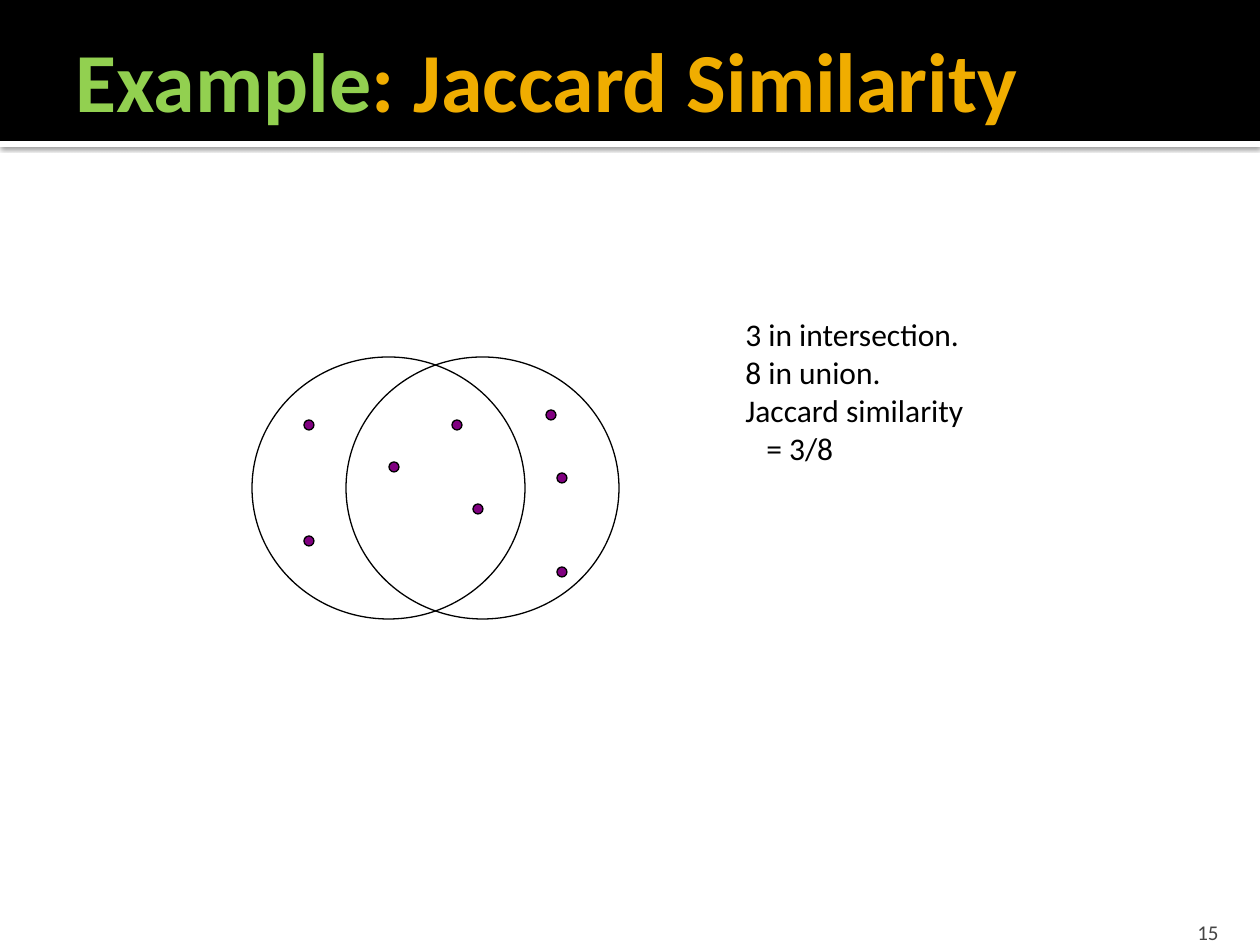
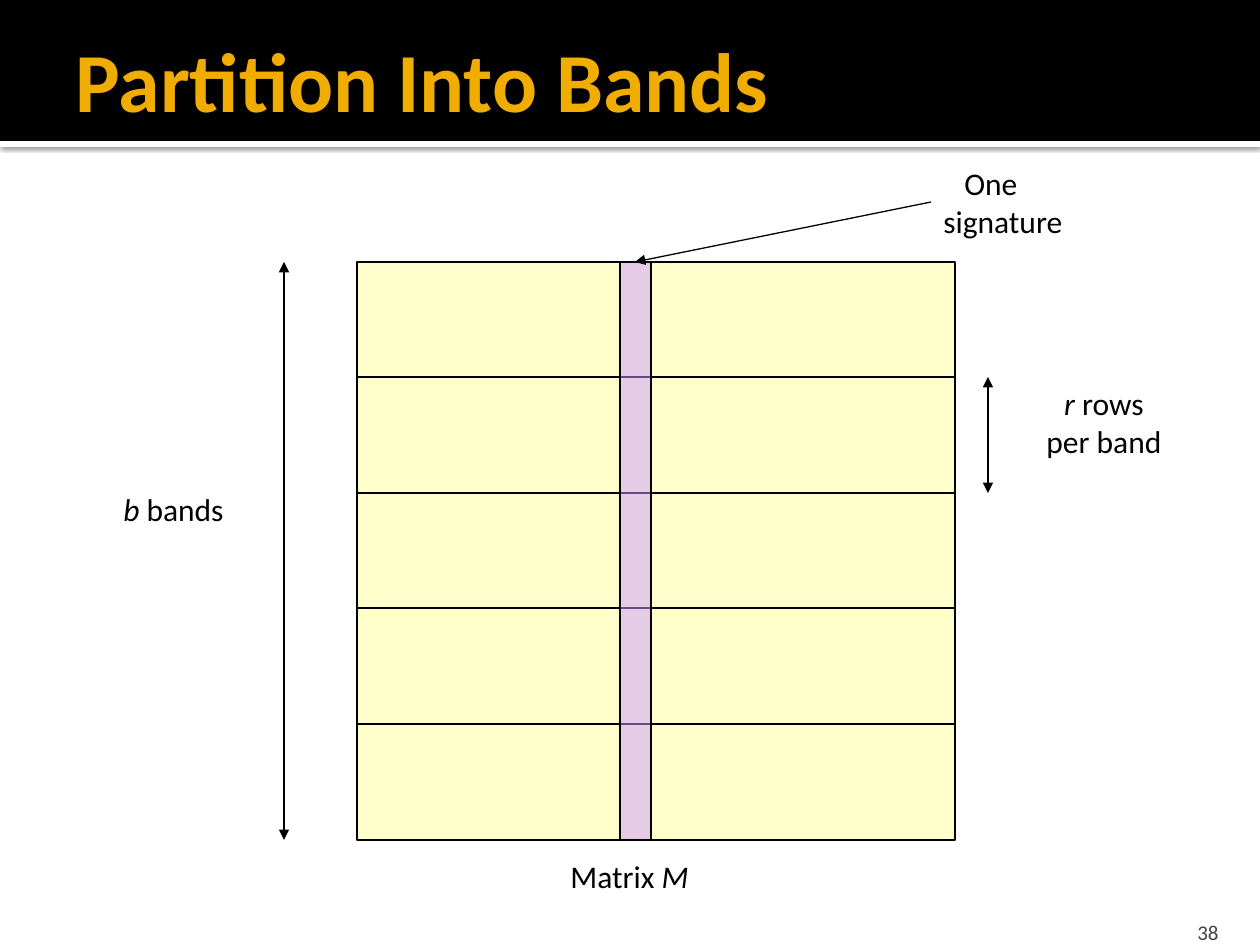
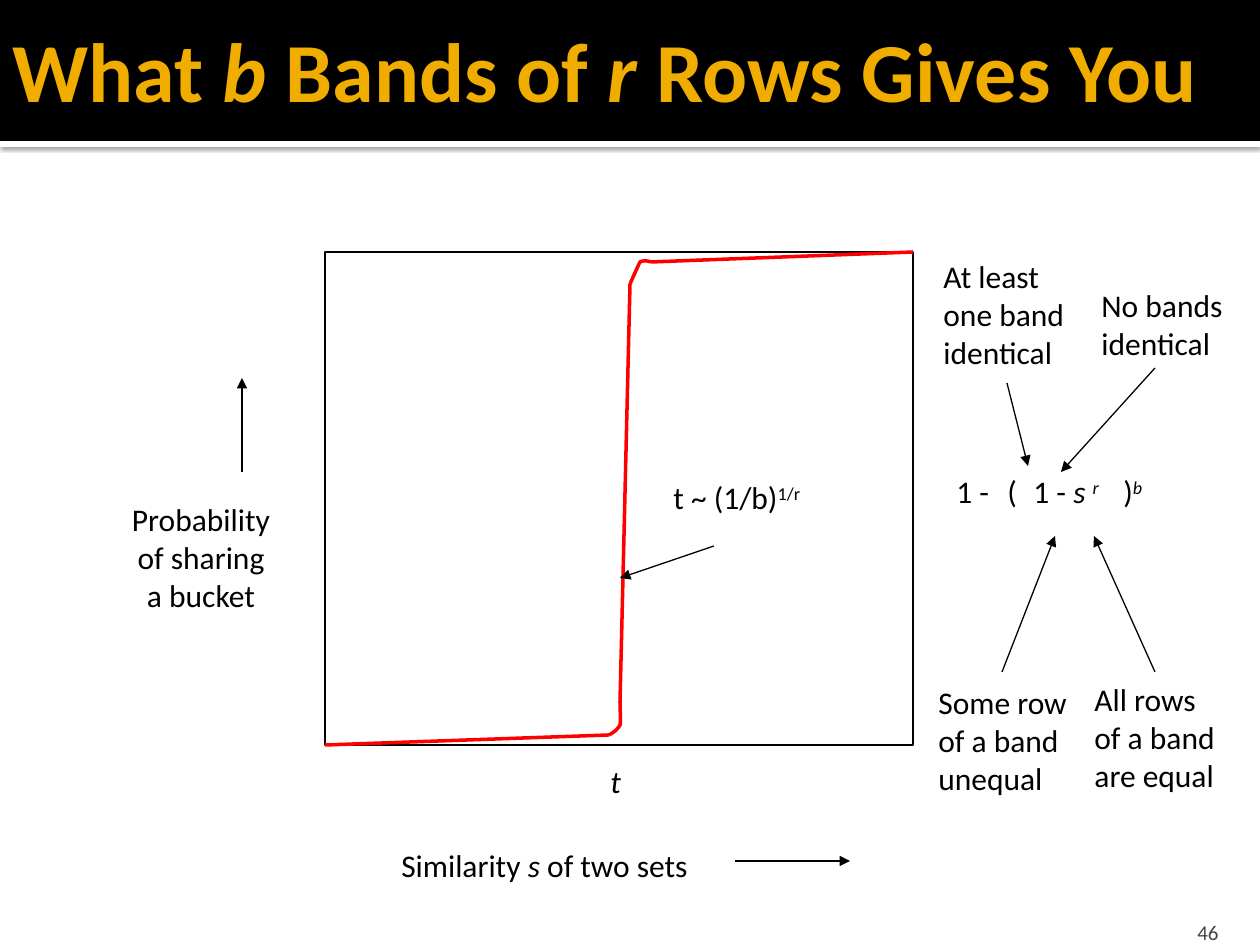
from dataclasses import dataclass

from lxml.etree import SubElement
from pptx import Presentation
from pptx.dml.color import RGBColor
from pptx.enum.shapes import MSO_CONNECTOR as Connector, MSO_SHAPE as Preset
from pptx.enum.text import MSO_ANCHOR as Anchor, MSO_AUTO_SIZE as AutoSize, PP_ALIGN as Align
from pptx.oxml.ns import qn
from pptx.util import Emu, Pt

EMU_PER_PX = 914400 / 126
FONT = "Calibri"
COLORS = {
    "black": "000000", "white": "FFFFFF", "title": "F0AD00", "example": "92D050",
    "number": "454545", "dot": "800080", "matrix": "FFFF99", "signature": "CC99FF",
    "curve": "FF0000",
}
Point = tuple[int, int]


@dataclass(frozen=True)
class Box:
    """Position and size in px."""
    left: int
    top: int
    width: int
    height: int

    def emu(self) -> list[Emu]:
        """Return left, top, width and height in EMU."""
        return [px(n) for n in (self.left, self.top, self.width, self.height)]


@dataclass(frozen=True)
class Span:
    """Piece of text with its own emphasis."""
    text: str
    italic: bool = False
    raised: bool = False
    color: str = ""


@dataclass(frozen=True)
class Line:
    """Paragraph of spans with a left indent in px."""
    spans: tuple[Span, ...]
    indent: int = 0


@dataclass(frozen=True)
class Label:
    """Free text on a slide."""
    box: Box
    lines: tuple[Line, ...]
    align: Align = Align.LEFT


@dataclass(frozen=True)
class Arrow:
    """Straight line with optional arrowheads."""
    start: Point
    end: Point
    head: bool = False
    tail: bool = True
    color: str = "black"
    width: float = 0.75


TITLE_BOX = Box(63, 21, 1197, 116)
WIDE_TITLE_BOX = Box(0, -10, 1260, 157)
HEADER = Box(0, 0, 1260, 141)
HEADER_EDGE = Box(0, 141, 1260, 6)
NUMBER_BOX = Box(1130, 907, 101, 38)

DOT_SIZE = 10
DOT_CENTERS = [(309, 425), (309, 541), (394, 467), (478, 509),
               (457, 425), (562, 478), (562, 572), (551, 415)]
SETS = [Box(346, 357, 273, 262), Box(252, 357, 273, 262)]

MATRIX = Box(357, 262, 598, 578)
SIGNATURE = Box(620, 262, 31, 578)
BAND_COUNT = 5

PLOT = Box(325, 252, 588, 493)
LOWER_BEND = [(609, 735), (614, 732), (617, 730), (620, 725), (621, 719), (620, 712), (620, 703)]
UPPER_BEND = [(630, 284), (634, 275), (638, 266), (640, 262), (644, 260), (648, 261), (651, 262)]


def px(length: float) -> Emu:
    """Turn px into EMU."""
    return Emu(round(length * EMU_PER_PX))


def rgb(name: str) -> RGBColor:
    """Look up a named colour."""
    return RGBColor.from_string(COLORS[name])


def plain(*texts: str) -> tuple[Line, ...]:
    """Make one unformatted line per text."""
    return tuple(Line((Span(text),)) for text in texts)


def mixed(*spans: Span) -> tuple[Line, ...]:
    """Make a single line of several spans."""
    return (Line(spans),)


def write_lines(frame, lines: tuple[Line, ...], size: int, color: str, align: Align,
                bold: bool = False) -> None:
    """Fill a text frame with formatted paragraphs."""
    for index, line in enumerate(lines):
        paragraph = frame.add_paragraph() if index else frame.paragraphs[0]
        paragraph.alignment = align
        if line.indent:
            paragraph._p.get_or_add_pPr().set("marL", str(px(line.indent)))
        font = paragraph.font
        font.name, font.size, font.bold = FONT, Pt(size), bold
        same_color = not any(span.color for span in line.spans)
        if same_color:
            font.color.rgb = rgb(color)
        for span in line.spans:
            run = paragraph.add_run()
            run.text = span.text
            if span.italic:
                run.font.italic = True
            if span.raised:
                run._r.get_or_add_rPr().set("baseline", "30000")
            if not same_color:
                run.font.color.rgb = rgb(span.color or color)


def add_label(slide, label: Label) -> None:
    """Draw a text that keeps its own line breaks."""
    frame = slide.shapes.add_textbox(*label.box.emu()).text_frame
    frame.word_wrap = False
    frame.auto_size = AutoSize.SHAPE_TO_FIT_TEXT
    write_lines(frame, label.lines, 18, "black", label.align)


def add_figure(slide, preset: Preset, box: Box, fill: str = "", line: str = "black",
               opacity: int = 100):
    """Draw a preset shape."""
    shape = slide.shapes.add_shape(preset, *box.emu())
    shape.shadow.inherit = False
    if fill:
        shape.fill.solid()
        shape.fill.fore_color.rgb = rgb(fill)
        if opacity < 100:
            color = next(shape.element.spPr.iter(qn("a:srgbClr")))
            SubElement(color, qn("a:alpha"), val=str(opacity * 1000))
    else:
        shape.fill.background()
    if line:
        shape.line.color.rgb = rgb(line)
        shape.line.width = Pt(0.75)
    else:
        shape.line.fill.background()
    return shape


def add_arrow(slide, arrow: Arrow) -> None:
    """Draw a straight connector with its arrowheads."""
    ends = [px(n) for n in (*arrow.start, *arrow.end)]
    connector = slide.shapes.add_connector(Connector.STRAIGHT, *ends)
    connector.line.color.rgb = rgb(arrow.color)
    connector.line.width = Pt(arrow.width)
    properties = connector.element.spPr
    outline = properties.find(qn("a:ln"))
    for shown, tag in ((arrow.head, "a:headEnd"), (arrow.tail, "a:tailEnd")):
        if shown:
            SubElement(outline, qn(tag), type="triangle")
    SubElement(properties, qn("a:effectLst"))


def bezier(controls: list[Point], steps: int = 8) -> list[tuple[float, float]]:
    """Sample a cubic curve after its first point."""
    weights = [((1 - t) ** 3, 3 * t * (1 - t) ** 2, 3 * t * t * (1 - t), t ** 3)
               for t in (step / steps for step in range(1, steps + 1))]
    return [tuple(sum(w * point[axis] for w, point in zip(row, controls)) for axis in (0, 1))
            for row in weights]


def add_bend(slide, controls: list[Point]) -> None:
    """Draw a rounded corner of the curve from two cubic pieces."""
    points = [(px(x), px(y)) for x, y in bezier(controls[:4]) + bezier(controls[3:])]
    x, y = controls[0]
    builder = slide.shapes.build_freeform(px(x), px(y))
    builder.add_line_segments(points, close=False)
    shape = builder.convert_to_shape()
    shape.shadow.inherit = False
    shape.fill.background()
    shape.line.color.rgb = rgb("curve")
    shape.line.width = Pt(2)


def add_header(slide) -> None:
    """Draw the header on a slide and hand it to the slide's layout."""
    edge = add_figure(slide, Preset.RECTANGLE, HEADER_EDGE, "white", "")
    effects = edge.element.spPr.find(qn("a:effectLst"))
    shadow = SubElement(effects, qn("a:outerShdw"), blurRad=str(Pt(2.5)), dist=str(Pt(0.8)),
                        dir="5400000", algn="tl", rotWithShape="0")
    color = SubElement(shadow, qn("a:srgbClr"), val=COLORS["black"])
    SubElement(color, qn("a:alpha"), val="60000")
    band = add_figure(slide, Preset.RECTANGLE, HEADER, "black", "")
    for index, shape in enumerate((edge, band)):
        shape.element.nvSpPr.cNvPr.id = 100 + index
        slide.slide_layout.shapes.element.insert(2 + index, shape.element)


def new_slide(presentation, number: int, title: tuple[Line, ...], box: Box = TITLE_BOX):
    """Add a slide with its title and number."""
    slide = presentation.slides.add_slide(presentation.slide_layouts[5])
    heading = slide.shapes.title
    heading.left, heading.top, heading.width, heading.height = box.emu()
    heading.text_frame.vertical_anchor = Anchor.MIDDLE
    write_lines(heading.text_frame, title, 48, "title", Align.LEFT, bold=True)
    frame = slide.shapes.add_textbox(*NUMBER_BOX.emu()).text_frame
    frame.word_wrap = True
    frame.vertical_anchor = Anchor.BOTTOM
    frame.margin_bottom = 0
    write_lines(frame, plain(str(number)), 12, "number", Align.RIGHT)
    return slide


def build_jaccard(presentation) -> None:
    """Show two overlapping sets and their similarity."""
    slide = new_slide(presentation, 15, mixed(Span("Example", color="example"),
                                              Span(": Jaccard Similarity")))
    add_header(slide)
    for box in SETS:
        add_figure(slide, Preset.OVAL, box)
    for x, y in DOT_CENTERS:
        corner = (x - DOT_SIZE // 2, y - DOT_SIZE // 2)
        add_figure(slide, Preset.OVAL, Box(*corner, DOT_SIZE, DOT_SIZE), "dot")
    lines = plain("3 in intersection.", "8 in union.", "Jaccard similarity")
    add_label(slide, Label(Box(733, 309, 343, 214), lines + (Line((Span("= 3/8"),), 21),)))


def build_bands(presentation) -> None:
    """Show the signature matrix cut into bands."""
    slide = new_slide(presentation, 38, plain("Partition Into Bands"))
    add_figure(slide, Preset.RECTANGLE, MATRIX, "matrix", opacity=50)
    edges = [MATRIX.top + MATRIX.height * i // BAND_COUNT for i in range(BAND_COUNT + 1)]
    right = MATRIX.left + MATRIX.width
    for y in edges[1:-1]:
        add_arrow(slide, Arrow((MATRIX.left, y), (right, y), tail=False))
    add_figure(slide, Preset.RECTANGLE, SIGNATURE, "signature", opacity=50)
    for arrow in (
        Arrow((988, edges[1]), (988, edges[2]), head=True),
        Arrow((284, edges[0]), (284, edges[-1]), head=True),
        Arrow((931, 202), (635, MATRIX.top)),
    ):
        add_arrow(slide, arrow)
    for label in (
        Label(Box(537, 851, 185, 63), mixed(Span("Matrix "), Span("M", True)), Align.CENTER),
        Label(Box(1009, 378, 190, 113),
              mixed(Span("r", True), Span(" rows")) + plain("per band"), Align.CENTER),
        Label(Box(81, 484, 185, 63), mixed(Span("b", True), Span(" bands")), Align.CENTER),
        Label(Box(931, 158, 154, 88), (Line((Span("One"),), 21),) + plain("signature")),
    ):
        add_label(slide, label)


def build_curve(presentation) -> None:
    """Show the step curve and the parts of its formula."""
    title = mixed(Span("What "), Span("b", True), Span(" Bands of "), Span("r", True),
                  Span(" Rows Gives You"))
    slide = new_slide(presentation, 46, title, WIDE_TITLE_BOX)
    add_figure(slide, Preset.RECTANGLE, PLOT)
    stops = [(PLOT.left, PLOT.top + PLOT.height), LOWER_BEND[0], LOWER_BEND[-1],
             UPPER_BEND[0], UPPER_BEND[-1], (PLOT.left + PLOT.width, PLOT.top)]
    for start, end in zip(stops[::2], stops[1::2]):
        add_arrow(slide, Arrow(start, end, tail=False, color="curve", width=2))
    for bend in (LOWER_BEND, UPPER_BEND):
        add_bend(slide, bend)
    for label in (
        Label(Box(370, 840, 349, 50),
              mixed(Span("Similarity "), Span("s", True), Span(" of two sets")), Align.CENTER),
        Label(Box(116, 494, 170, 126), plain("Probability", "of sharing", "a bucket"),
              Align.CENTER),
        Label(Box(598, 756, 35, 50), mixed(Span("t", True)), Align.CENTER),
        Label(Box(944, 466, 77, 63), plain("1 -")),
        Label(Box(995, 466, 42, 63), plain("(")),
        Label(Box(1021, 466, 77, 63), plain("1 -")),
        Label(Box(1061, 466, 76, 63), mixed(Span("s ", True), Span("r", True, True))),
        Label(Box(1111, 466, 66, 63), mixed(Span(")"), Span("b", True, True))),
        Label(Box(931, 251, 155, 126), plain("At least", "one band", "identical")),
        Label(Box(1089, 280, 156, 88), plain("No bands", "identical")),
        Label(Box(926, 677, 165, 126), plain("Some row", "of a band", "unequal")),
        Label(Box(1082, 674, 158, 126), plain("All rows", "of a band", "are equal")),
        Label(Box(661, 472, 236, 63), mixed(Span("t ~ (1/b)"), Span("1/r", raised=True))),
    ):
        add_label(slide, label)
    for start, end in (
        ((735, 861), (850, 861)), ((242, 472), (242, 378)), ((1155, 672), (1094, 536)),
        ((1002, 672), (1055, 536)), ((1155, 368), (1061, 472)), ((1007, 383), (1028, 466)),
        ((714, 546), (620, 578)),
    ):
        add_arrow(slide, Arrow(start, end))


def main() -> None:
    """Build the three slides."""
    presentation = Presentation()
    presentation.slide_width, presentation.slide_height = px(1260), px(945)
    build_jaccard(presentation)
    build_bands(presentation)
    build_curve(presentation)
    presentation.save("out.pptx")


if __name__ == "__main__":
    main()
